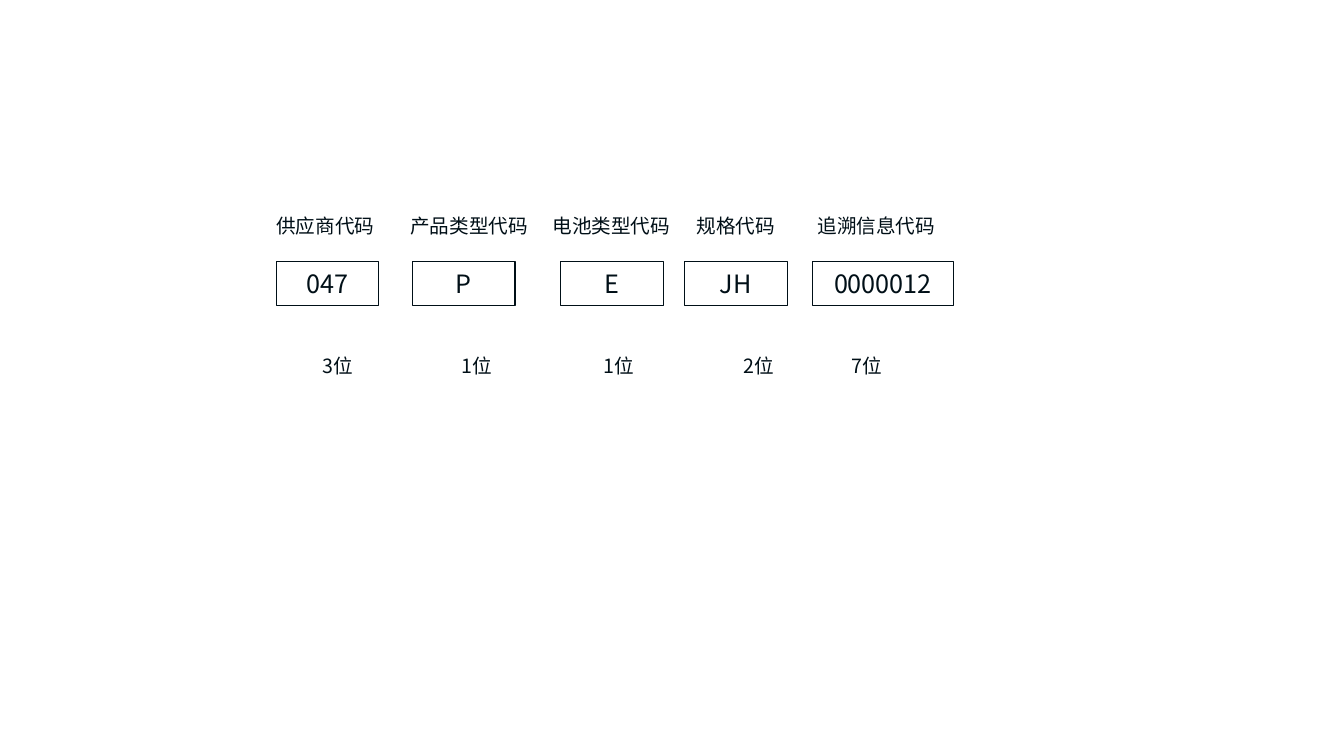
from pptx import Presentation
from pptx.dml.color import RGBColor
from pptx.enum import shapes, text
from pptx.oxml.ns import qn
from pptx.util import Pt

INK = RGBColor(0x00, 0x0F, 0x17)
FONT = "Noto Sans CJK SC"
LEFT = text.PP_ALIGN.LEFT
MID = text.PP_ALIGN.CENTER

# label, code, digits, then (x, width) of each, from the left of the row
PARTS = [
    ("供应商代码", "047", "3位", (0, 87.1), (0, 73.4), (0.7, 87.1)),
    ("产品类型代码", "P", "1位", (95.8, 92.2), (97.2, 73.4), (97.2, 92.2)),
    ("电池类型代码", "E", "1位", (197.3, 93.6), (203, 73.4), (198, 93.6)),
    ("规格代码", "JH", "2位", (300.2, 87.1), (291.6, 73.4), (301, 87.1)),
    ("追溯信息代码", "0000012", "7位", (386.6, 87.1), (383, 100.8), (378, 87.1)),
]


def write(frame, words, size=14, align=LEFT):
    """Put one formatted line of text in a frame."""
    frame.word_wrap = True
    para = frame.paragraphs[0]
    para.alignment = align
    run = para.add_run()
    run.text = words
    font = run.font
    font.name, font.size = FONT, Pt(size)
    font.color.rgb = INK
    east = run._r.get_or_add_rPr().makeelement(qn("a:ea"), {"typeface": FONT})
    font._element.find(qn("a:latin")).addnext(east)


def note(slide, words, x, y, w, h, align=LEFT):
    """Add a text box without margins."""
    frame = slide.shapes.add_textbox(Pt(x), Pt(y), Pt(w), Pt(h)).text_frame
    frame.margin_left = frame.margin_right = 0
    frame.margin_top = frame.margin_bottom = 0
    frame.auto_size = text.MSO_AUTO_SIZE.SHAPE_TO_FIT_TEXT
    write(frame, words, align=align)


def cell(slide, words, x, y, w, h):
    """Add an outlined box that holds a code."""
    box = slide.shapes.add_shape(
        shapes.MSO_SHAPE.RECTANGLE, Pt(x), Pt(y), Pt(w), Pt(h))
    box.shadow.inherit = False
    box.fill.background()
    box.line.color.rgb = INK
    box.line.width = Pt(0.75)
    box.text_frame.vertical_anchor = text.MSO_ANCHOR.MIDDLE
    write(box.text_frame, words, size=18, align=MID)


def codes(slide, x, y, high):
    """Place labels, codes and digit counts in a row from (x, y), high tall."""
    line = 17.3
    for name, code, count, top, mid, low in PARTS:
        note(slide, name, x + top[0], y, top[1], line)
        cell(slide, code, x + mid[0], y + 33.9, mid[1], 31.7)
        note(slide, count, x + low[0], y + high - line, low[1], line, MID)


deck = Presentation()
deck.slide_width, deck.slide_height = Pt(960), Pt(540)
page = deck.slides.add_slide(deck.slide_layouts[6])
codes(page, 197.3, 152.6, 117.4)
deck.save("out.pptx")
